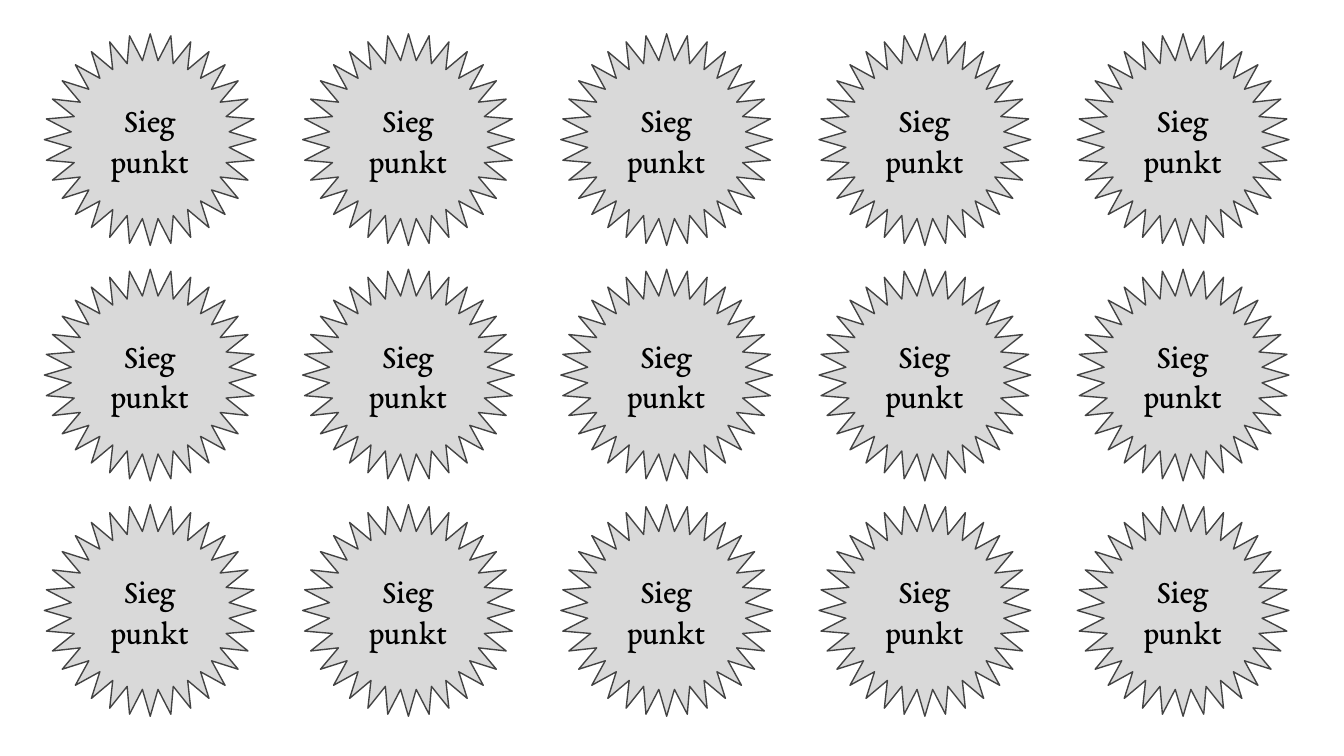
from pptx import Presentation
from pptx.dml.color import RGBColor
from pptx.enum.shapes import MSO_SHAPE as Shape
from pptx.enum.text import MSO_ANCHOR as Anchor, PP_ALIGN as Align
from pptx.util import Cm, Pt

BLACK = RGBColor(0x00, 0x00, 0x00)
GREY = RGBColor(0xD9, 0xD9, 0xD9)
DARK = RGBColor(0x43, 0x43, 0x43)

# Grid of tokens, in centimetres
COLS, ROWS = 5, 3
LEFT, TOP = 0.84, 0.64
STEP_X, STEP_Y = 4.88, 4.45
SIZE = 4
WORDS = ("Sieg", "punkt")


class Sheet:
    font = "EB Garamond"
    points = Pt(18)
    inset = Cm(0.25)

    def __init__(self, slide):
        self.slide = slide

    def label(self, frame, lines):
        """Fill a text frame with one centred paragraph per line."""
        frame.word_wrap = True
        frame.vertical_anchor = Anchor.MIDDLE
        frame.margin_left = frame.margin_right = self.inset
        frame.margin_top = frame.margin_bottom = self.inset
        for i, line in enumerate(lines):
            para = frame.add_paragraph() if i else frame.paragraphs[0]
            para.alignment = Align.CENTER
            run = para.add_run()
            run.text = line
            run.font.name = self.font
            run.font.size = self.points
            run.font.color.rgb = BLACK

    def token(self, group, x, y):
        """Add one victory point star to a group."""
        star = group.shapes.add_shape(
            Shape.STAR_32_POINT, Cm(x), Cm(y), Cm(SIZE), Cm(SIZE))
        star.adjustments[0] = 0.375
        star.shadow.inherit = False
        star.fill.solid()
        star.fill.fore_color.rgb = GREY
        star.line.color.rgb = DARK
        star.line.width = Pt(0.75)
        self.label(star.text_frame, WORDS)

    def column(self, x):
        """Add a grouped column of tokens."""
        group = self.slide.shapes.add_group_shape()
        for row in range(ROWS):
            self.token(group, x, TOP + row * STEP_Y)


def main():
    deck = Presentation()
    deck.slide_width, deck.slide_height = Cm(25.4), Cm(14.29)

    # Blank layout: the slide has no title
    sheet = Sheet(deck.slides.add_slide(deck.slide_layouts[6]))
    for col in range(COLS):
        sheet.column(LEFT + col * STEP_X)

    deck.save("out.pptx")


if __name__ == "__main__":
    main()
